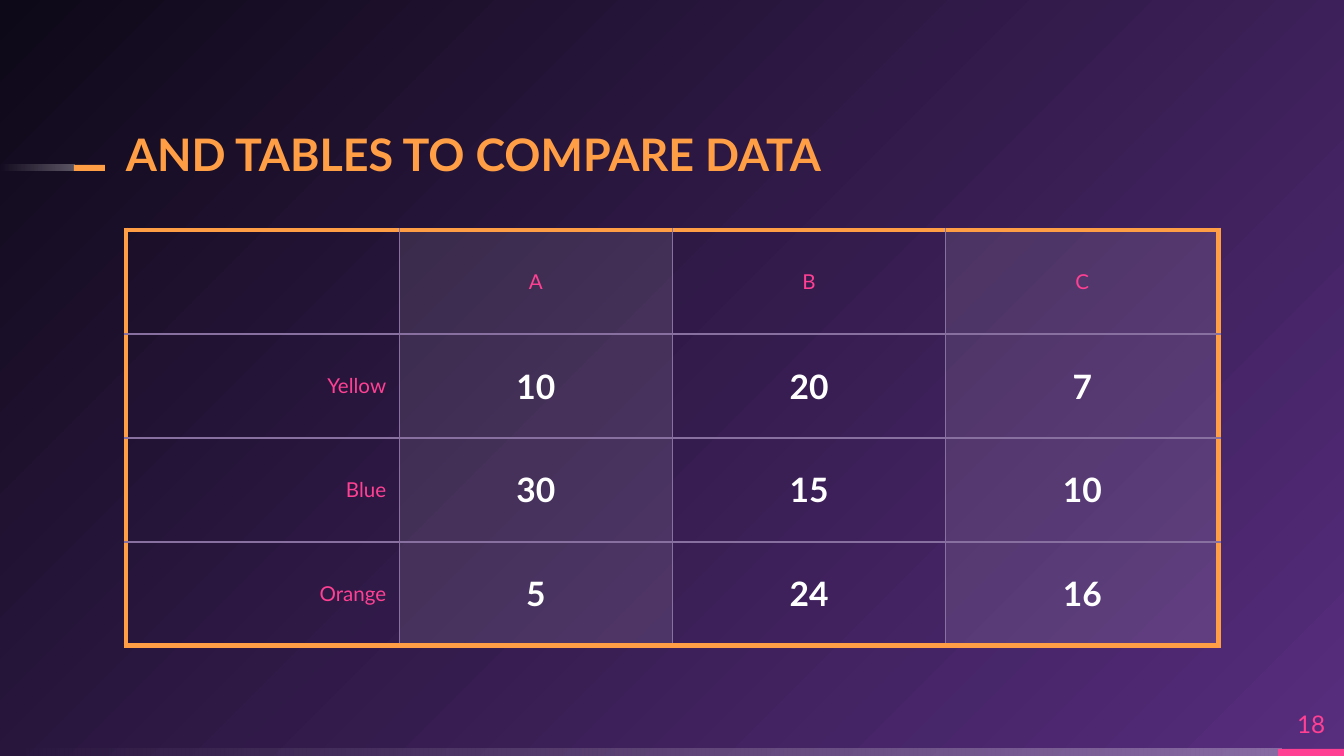
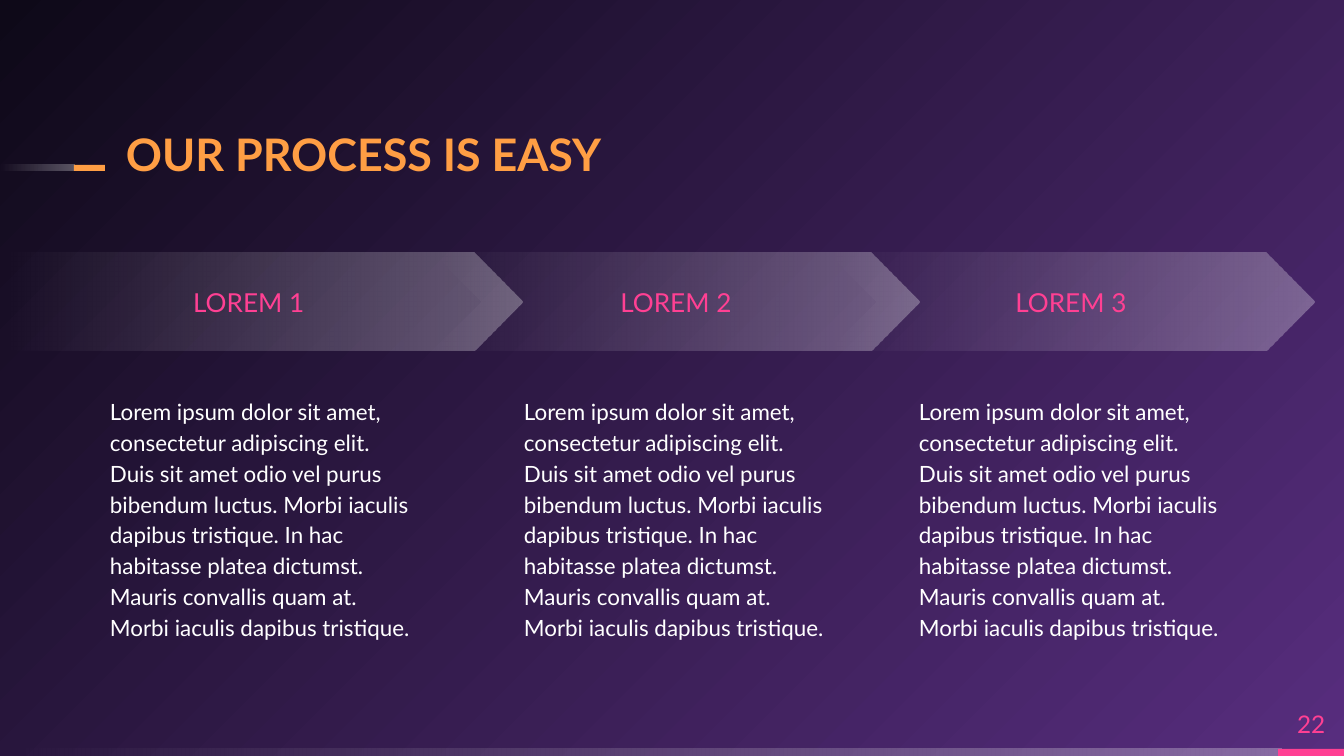
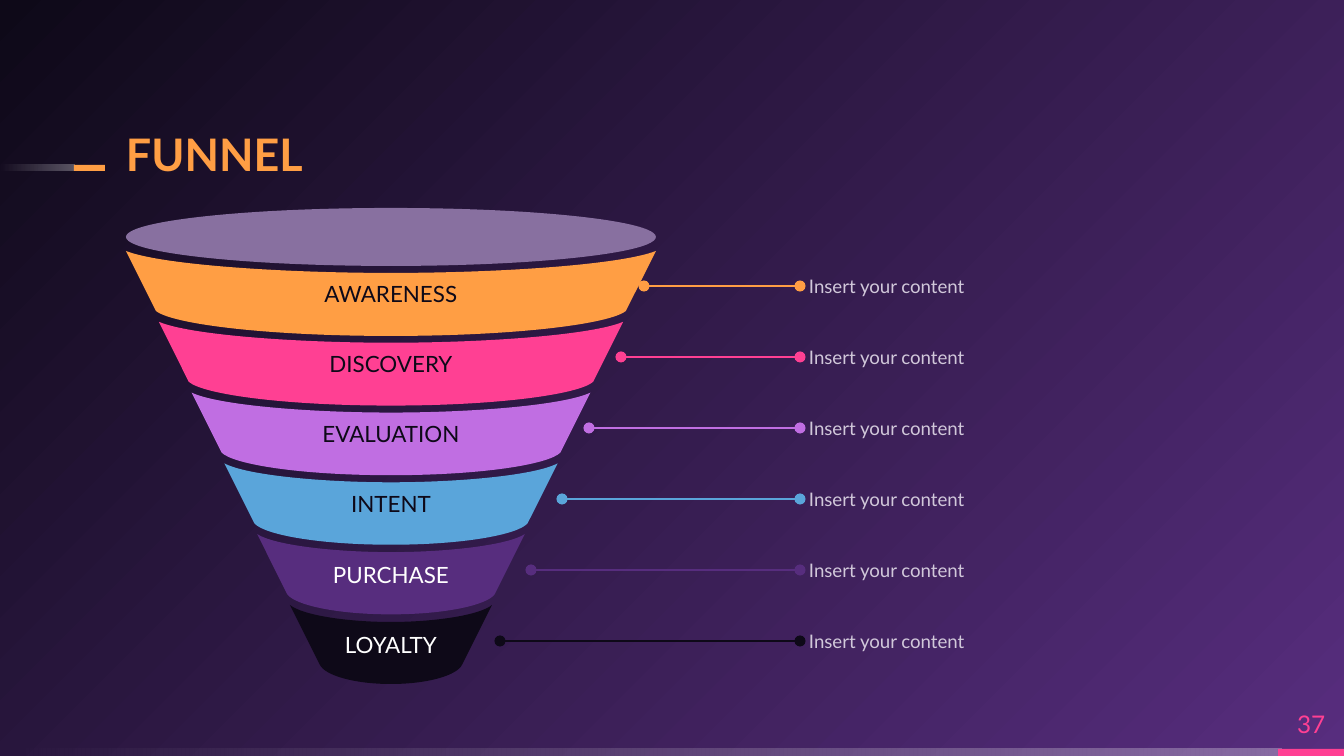
from pptx import Presentation
from pptx.dml.color import RGBColor
from pptx.enum.shapes import MSO_CONNECTOR, MSO_SHAPE
from pptx.enum.text import MSO_ANCHOR, PP_ALIGN
from pptx.oxml import parse_xml
from pptx.oxml.ns import nsdecls, qn
from pptx.util import Pt

LEFT, CENTER, RIGHT = PP_ALIGN.LEFT, PP_ALIGN.CENTER, PP_ALIGN.RIGHT
TOP, MIDDLE, BOTTOM = MSO_ANCHOR.TOP, MSO_ANCHOR.MIDDLE, MSO_ANCHOR.BOTTOM
RECT, OVAL = MSO_SHAPE.RECTANGLE, MSO_SHAPE.OVAL
PENTAGON, CHEVRON = MSO_SHAPE.PENTAGON, MSO_SHAPE.CHEVRON
STRAIGHT = MSO_CONNECTOR.STRAIGHT

EMU_PER_PX = 914400 / 134.4
WIDTH, HEIGHT = 1344, 756
FONT = "Lato"
ORANGE, PINK, ORCHID, BLUE = "FF9E44", "FF4093", "C06EE2", "5AA5DA"
PURPLE, NIGHT, MAUVE, LILAC = "572D7E", "0E0918", "8870A0", "D1C8DA"
WHITE = "FFFFFF"

COMPARISON = {
    "title": "AND TABLES TO COMPARE DATA",
    "page": "18",
    "rows": [
        ["", "A", "B", "C"],
        ["Yellow", "10", "20", "7"],
        ["Blue", "30", "15", "10"],
        ["Orange", "5", "24", "16"],
    ],
}
LOREM = (
    "Lorem ipsum dolor sit amet, consectetur adipiscing elit. "
    "Duis sit amet odio vel purus bibendum luctus. Morbi iaculis dapibus tristique. "
    "In hac habitasse platea dictumst. Mauris convallis quam at. "
    "Morbi iaculis dapibus tristique."
)
PROCESS = {
    "title": "OUR PROCESS IS EASY",
    "page": "22",
    "steps": [
        ("LOREM 1", PENTAGON, 0, 522, 97),
        ("LOREM 2", CHEVRON, 433, 486, 511),
        ("LOREM 3", CHEVRON, 828, 486, 906),
    ],
}
FUNNEL = {
    "title": "FUNNEL",
    "page": "37",
    "note": "Insert your content",
    "stages": [
        ("AWARENESS", ORANGE, NIGHT, 644),
        ("DISCOVERY", PINK, NIGHT, 621),
        ("EVALUATION", ORCHID, NIGHT, 589),
        ("INTENT", BLUE, NIGHT, 562),
        ("PURCHASE", PURPLE, WHITE, 531),
        ("LOYALTY", NIGHT, WHITE, 500),
    ],
}
RIM_HANDLES = [(0, 1), (0.42, 1), (0.87, 0.62), (1, 0)]
BASE_HANDLES = [(0, 1), (0.53, 1), (0.93, 0.53), (1, 0)]
CURVE_STARTS = (0, 3, 7, 10)


def px(length):
    return round(length * EMU_PER_PX)


def box(*lengths):
    return [px(length) for length in lengths]


def rgb(value):
    return RGBColor.from_string(value)


def write(frame, text, size=12, color=WHITE, bold=False, align=LEFT, spacing=None):
    paragraph = frame.paragraphs[0]
    paragraph.alignment = align
    paragraph.line_spacing = spacing
    run = paragraph.add_run()
    run.text = text
    run.font.name = FONT
    run.font.size = Pt(size)
    run.font.bold = bold
    run.font.color.rgb = rgb(color)


def fit_frame(frame, anchor=MIDDLE, inset=(0, 0)):
    frame.word_wrap = True
    frame.vertical_anchor = anchor
    frame.margin_left = frame.margin_right = px(inset[0])
    frame.margin_top = frame.margin_bottom = px(inset[1])
    return frame


def add_label(slide, place, text, anchor=MIDDLE, inset=(0, 0), **style):
    label = slide.shapes.add_textbox(*box(*place))
    write(fit_frame(label.text_frame, anchor, inset), text, **style)


def set_gradient(holder, stops, direction):
    marks = "".join(
        f'<a:gs pos="{position * 1000}"><a:srgbClr val="{color}">'
        f'<a:alpha val="{alpha * 1000}"/></a:srgbClr></a:gs>'
        for position, color, alpha in stops
    )
    gradient = parse_xml(
        f'<a:gradFill {nsdecls("a")} rotWithShape="1">'
        f"<a:gsLst>{marks}</a:gsLst>{direction}</a:gradFill>"
    )
    holder.replace(holder.find(qn("a:solidFill")), gradient)


def paint(shape, color):
    shape.shadow.inherit = False
    shape.fill.solid()
    shape.fill.fore_color.rgb = rgb(color)
    shape.line.fill.background()
    return shape


def add_block(slide, preset, place, color):
    return paint(slide.shapes.add_shape(preset, *box(*place)), color)


def add_fade(slide, preset, place):
    fade = add_block(slide, preset, place, WHITE)
    set_gradient(
        fade.element.spPr,
        [(0, WHITE, 30), (100, WHITE, 0)],
        '<a:lin ang="10800000" scaled="0"/>',
    )
    return fade


def decorate_layout(layout, slide):
    for placeholder in list(layout.placeholders)[1:]:
        placeholder.element.getparent().remove(placeholder.element)
    layout.background.fill.solid()
    set_gradient(
        layout.element.cSld.bg.bgPr,
        [(0, PURPLE, 100), (100, NIGHT, 100)],
        '<a:path path="circle"><a:fillToRect l="100000" t="100000"/></a:path>',
    )
    shared = [
        add_fade(slide, RECT, (0, 749, 1282, 7)),
        add_block(slide, RECT, (1278, 749, 66, 7), PINK),
        add_fade(slide, RECT, (0, 165, 75, 6)),
        add_block(slide, RECT, (74, 165, 31, 6), ORANGE),
    ]
    for part in shared:
        layout.element.cSld.spTree.append(part.element)


def start_slide(prs, content):
    layout = prs.slide_layouts[5]
    slide = prs.slides.add_slide(layout)
    if len(prs.slides) == 1:
        decorate_layout(layout, slide)
    title = slide.shapes.title
    title.left, title.top, title.width, title.height = box(126, 123, 780, 58)
    write(fit_frame(title.text_frame, BOTTOM), content["title"],
          size=24, color=ORANGE, bold=True, spacing=0.9)
    add_label(slide, (1278, 698, 66, 51), content["page"], size=13, color=PINK, align=CENTER)
    return slide


def add_border(cell, side, outer):
    color, width = (ORANGE, 3) if outer else (MAUVE, 0.75)
    cell._tc.get_or_add_tcPr().append(parse_xml(
        f'<a:ln{side} {nsdecls("a")} w="{Pt(width)}"><a:solidFill>'
        f'<a:srgbClr val="{color}"/></a:solidFill></a:ln{side}>'
    ))


def fill_cell(cell, tinted):
    if not tinted:
        cell.fill.background()
        return
    cell.fill.solid()
    cell.fill.fore_color.rgb = rgb(WHITE)
    tint = cell._tc.tcPr.find(qn("a:solidFill"))[0]
    tint.append(parse_xml(f'<a:alpha {nsdecls("a")} val="10000"/>'))


def build_comparison(prs):
    slide = start_slide(prs, COMPARISON)
    rows = COMPARISON["rows"]
    last_row, last_column = len(rows) - 1, len(rows[0]) - 1
    table = slide.shapes.add_table(
        len(rows), len(rows[0]), *box(126, 230, 1093, 416)
    ).table
    table.first_row = table.horz_banding = False
    for r, row in enumerate(rows):
        for c, value in enumerate(row):
            cell = table.cell(r, c)
            cell.vertical_anchor = MIDDLE
            cell.margin_left = cell.margin_right = px(13)
            cell.margin_top = cell.margin_bottom = px(9)
            outer = {"L": c == 0, "R": c == last_column, "T": r == 0, "B": r == last_row}
            for side, is_outer in outer.items():
                add_border(cell, side, is_outer)
            fill_cell(cell, c % 2 == 1)
            heading = r == 0 or c == 0
            if value:
                write(cell.text_frame, value, size=11 if heading else 18,
                      color=PINK if heading else WHITE, bold=not heading,
                      align=CENTER if c else RIGHT)


def build_process(prs):
    slide = start_slide(prs, PROCESS)
    for name, preset, left, width, text_left in PROCESS["steps"]:
        arrow = add_fade(slide, preset, (left, 253, width, 98))
        write(fit_frame(arrow.text_frame, inset=(13, 13)), name,
              size=14, color=PINK, align=CENTER)
        add_label(slide, (text_left, 381, 329, 265), LOREM,
                  anchor=TOP, inset=(13, 13), spacing=1.15)


def arc(half_width, top, sag, handles):
    side = [(half_width * across, top + sag * down) for across, down in handles]
    return [(-x, y) for x, y in reversed(side)] + side[1:]


def bend(shape):
    outline = next(shape.element.iter(qn("a:path")))
    segments = outline.findall(qn("a:lnTo"))
    for start in CURVE_STARTS:
        curve = parse_xml(f'<a:cubicBezTo {nsdecls("a")}/>')
        segments[start].addprevious(curve)
        for segment in segments[start:start + 3]:
            curve.append(segment[0])
            outline.remove(segment)


def add_stage(slide, center, top, half_width, rim_sag, base_sag, color):
    rim = arc(half_width, top, rim_sag, RIM_HANDLES)
    base = arc(half_width - 30, top + 60, base_sag, BASE_HANDLES)
    corners = [box(center + x, y) for x, y in rim + base[::-1]]
    builder = slide.shapes.build_freeform(*corners[0])
    builder.add_line_segments(corners[1:])
    stage = paint(builder.convert_to_shape(), color)
    bend(stage)
    return stage


def add_pointer(slide, start, end, y, color):
    pointer = slide.shapes.add_connector(STRAIGHT, *box(start, y, end, y))
    pointer.line.color.rgb = rgb(color)
    pointer.line.width = Pt(0.75)
    properties = pointer.element.spPr
    for tip in ("headEnd", "tailEnd"):
        properties.find(qn("a:ln")).append(
            parse_xml(f'<a:{tip} {nsdecls("a")} type="oval"/>'))
    properties.append(parse_xml(f'<a:effectLst {nsdecls("a")}/>'))


def build_funnel(prs):
    slide = start_slide(prs, FUNNEL)
    stages = FUNNEL["stages"]
    for i, (name, color, ink, pointer_start) in enumerate(stages):
        share = i / (len(stages) - 1)
        stage = add_stage(slide, 391, 251 + 354 * share, 265 - 164 * share,
                          22 - 5 * share, 25 - 6 * share, color)
        write(fit_frame(stage.text_frame, inset=(9, 5)), name, color=ink, align=CENTER)
        drop = 71 * i
        add_pointer(slide, pointer_start, 800, 286 + drop, color)
        add_label(slide, (809, 261 + drop, 410, 51), FUNNEL["note"], size=10, color=LILAC)
    add_block(slide, OVAL, (126, 208, 530, 58), MAUVE)


def main():
    prs = Presentation()
    prs.slide_width, prs.slide_height = box(WIDTH, HEIGHT)
    build_comparison(prs)
    build_process(prs)
    build_funnel(prs)
    prs.save("out.pptx")


if __name__ == "__main__":
    main()
